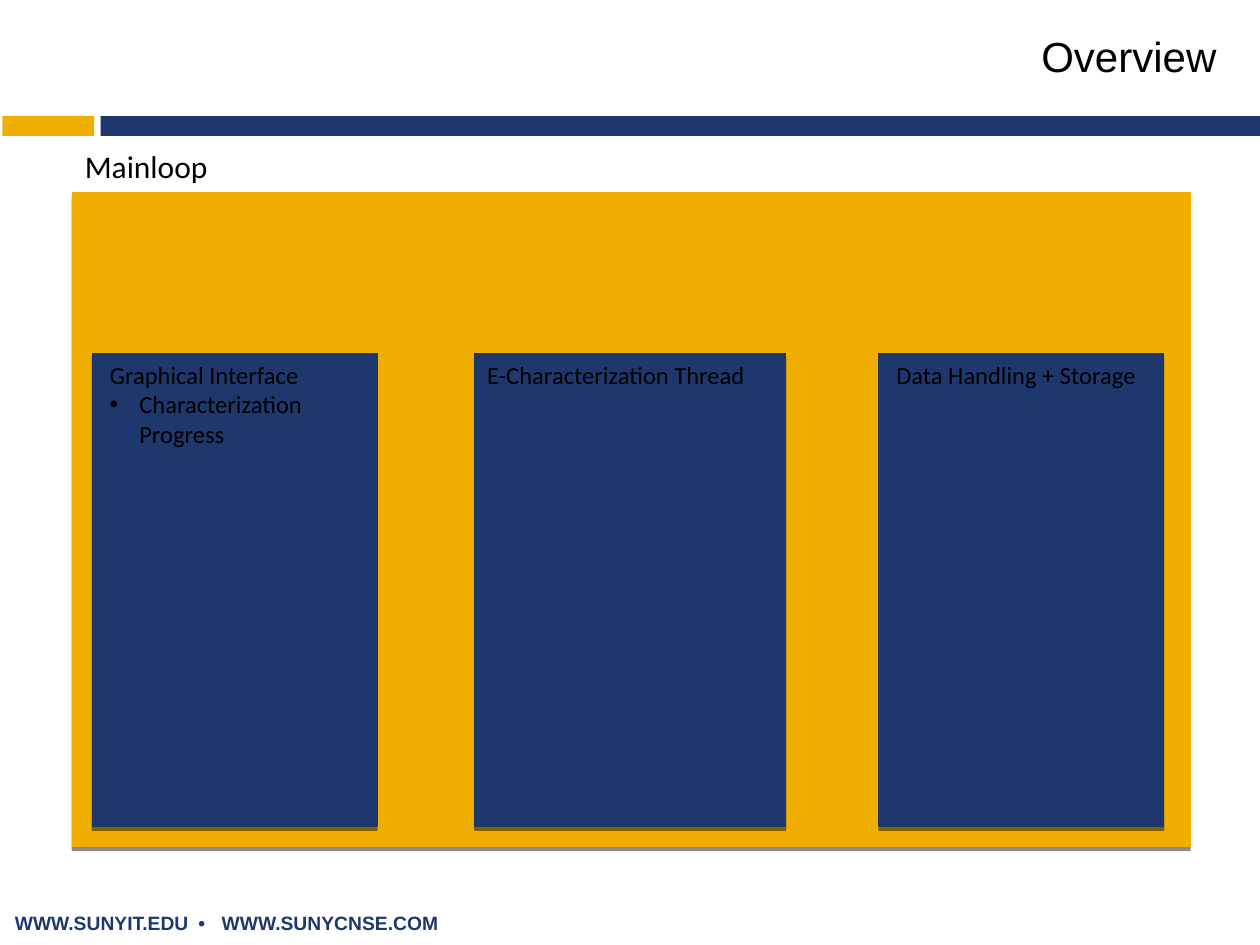
import dataclasses

import pptx
import pptx.dml.color
import pptx.enum.shapes
import pptx.enum.text
import pptx.util
from lxml import etree
from pptx.oxml.ns import qn

Cm = pptx.util.Cm
Pt = pptx.util.Pt
Align = pptx.enum.text.PP_ALIGN
Anchor = pptx.enum.text.MSO_ANCHOR


@dataclasses.dataclass(frozen=True)
class Theme:
    gold: str = "F0AF00"
    navy: str = "1E376C"
    black: str = "000000"
    head: str = "Arial"
    body: str = "Calibri"
    title: int = 24
    label: int = 18
    text: int = 14
    foot: int = 11


theme = Theme()


def paint(color):
    return pptx.dml.color.RGBColor.from_string(color)


def add_tag(parent, name, **attrs):
    return etree.SubElement(parent, qn(name), attrs)


def add_text(slide, box, lines, size=theme.text, font=theme.body, color=theme.black,
             bold=False, align=Align.LEFT, anchor=Anchor.TOP, bullets=(), stops=()):
    frame = slide.shapes.add_textbox(*map(Cm, box)).text_frame
    frame.word_wrap = True
    frame.vertical_anchor = anchor
    for i, line in enumerate(lines):
        para = frame.add_paragraph() if i else frame.paragraphs[0]
        para.alignment = align
        props = para._p.get_or_add_pPr()
        if i in bullets:
            props.set("marL", str(Cm(0.6)))
            props.set("indent", str(-Cm(0.6)))
            add_tag(props, "a:buFont", typeface="Arial")
            add_tag(props, "a:buChar", char="•")
        if stops:
            tabs = add_tag(props, "a:tabLst")
            for stop in stops:
                add_tag(tabs, "a:tab", pos=str(Cm(stop)), algn="l")
        run = para.add_run()
        run.text = line
        run.font.name = font
        run.font.size = Pt(size)
        run.font.bold = bold
        run.font.color.rgb = paint(color)


def add_block(slide, box, color, raised=False):
    kind = pptx.enum.shapes.MSO_SHAPE.RECTANGLE
    block = slide.shapes.add_shape(kind, *map(Cm, box))
    block.shadow.inherit = False
    block.fill.solid()
    block.fill.fore_color.rgb = paint(color)
    if not raised:
        block.line.fill.background()
        return
    block.line.color.rgb = paint(color)
    block.line.width = Pt(0.79)
    effects = block._element.spPr.find(qn("a:effectLst"))
    shadow = add_tag(effects, "a:outerShdw", blurRad="0", dist=str(Pt(2.4)),
                     dir="5400000", rotWithShape="0")
    tint = add_tag(shadow, "a:srgbClr", val=theme.black)
    add_tag(tint, "a:alpha", val="45000")


def add_header(slide, left, top, width):
    add_text(slide, (left + 9.27, top + 0.3, 15.5, 1.65), ["Overview"], size=theme.title,
             font=theme.head, align=Align.RIGHT, anchor=Anchor.MIDDLE)
    add_block(slide, (left + 0.05, top + 2.34, 1.85, 0.4), theme.gold)
    add_block(slide, (left + 2.03, top + 2.34, width - 2.03, 0.4), theme.navy)


def add_card(slide, box, lines, shift, room):
    left, top, _, _ = box
    add_block(slide, box, theme.navy, raised=True)
    add_text(slide, (left + shift, top, room, 2), lines, bullets=range(1, len(lines)))


def add_loop(slide, left, top, width, height):
    add_text(slide, (left, top - 1.04, 8.89, 1.02), ["Mainloop"], size=theme.label)
    add_block(slide, (left, top, width, height), theme.gold, raised=True)
    cards = (
        (0.4, 5.74, 0.1, 5.64, ["Graphical Interface", "Characterization Progress"]),
        (8.11, 6.27, 0, 6.15, ["E-Characterization Thread"]),
        (16.26, 5.74, 0.1, 6.15, ["Data Handling + Storage"]),
    )
    for start, span, shift, room, lines in cards:
        add_card(slide, (left + start, top + 3.25, span, height - 3.66), lines, shift, room)


def add_footer(slide, left, top, width):
    add_text(slide, (left, top, width, 0.74), ["WWW.SUNYIT.EDU\t•\tWWW.SUNYCNSE.COM"],
             size=theme.foot, font=theme.head, color=theme.navy, bold=True,
             stops=(3.7, 4.17))


def main():
    deck = pptx.Presentation()
    deck.slide_width, deck.slide_height = Cm(25.4), Cm(19.05)
    slide = deck.slides.add_slide(deck.slide_layouts[6])
    add_header(slide, 0, 0, 25.4)
    add_loop(slide, 1.46, 3.88, 22.53, 13.18)
    add_footer(slide, 0.05, 18.24, 22.66)
    deck.save("out.pptx")


if __name__ == "__main__":
    main()
